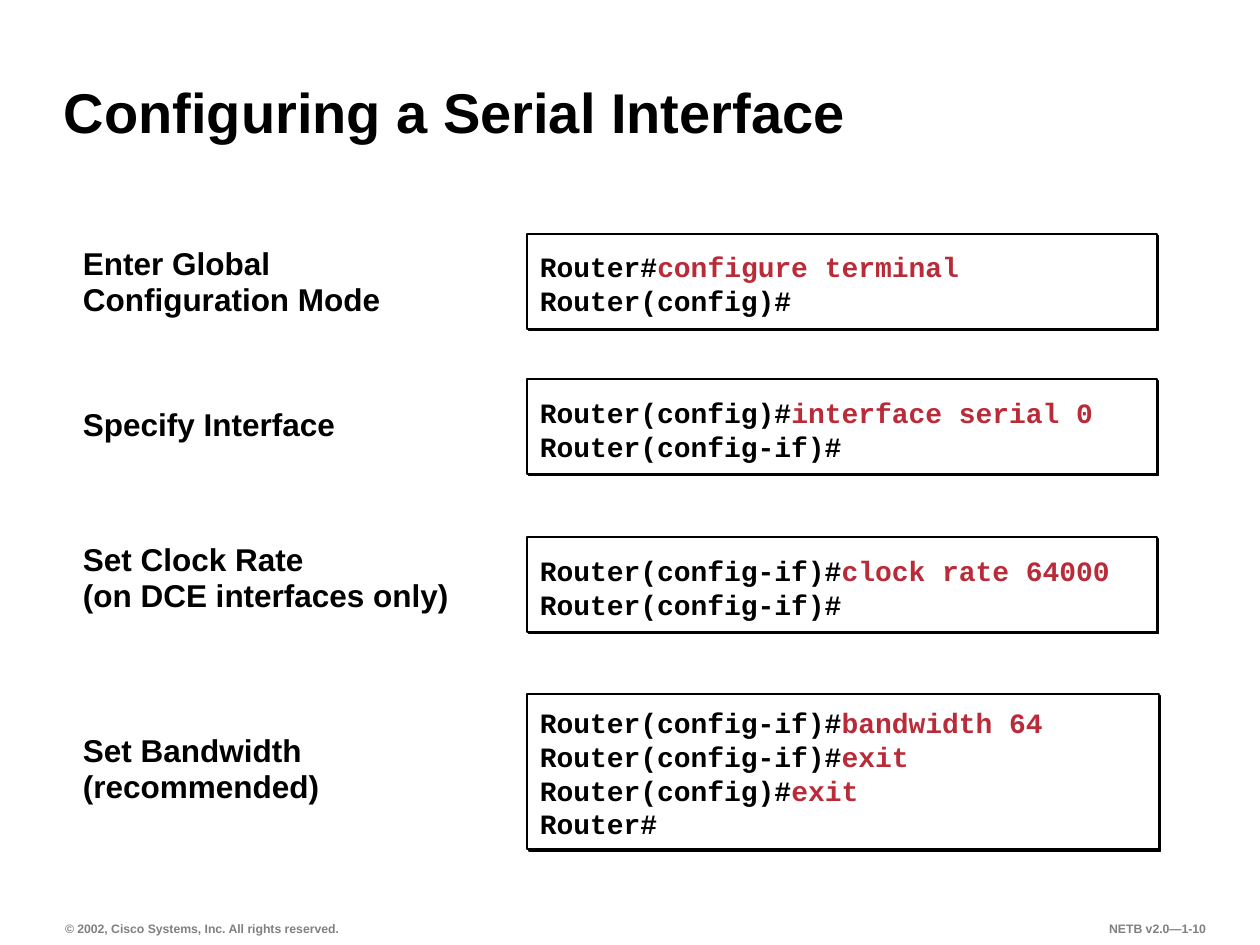
"""Build the slide on configuring a serial interface."""
from dataclasses import dataclass

from lxml.etree import SubElement
from pptx import Presentation
from pptx.dml.color import RGBColor
from pptx.enum.shapes import MSO_SHAPE
from pptx.enum.text import MSO_ANCHOR, PP_ALIGN
from pptx.oxml.ns import qn
from pptx.util import Pt


@dataclass(frozen=True)
class Theme:
    ink: RGBColor = RGBColor(0x00, 0x00, 0x00)
    paper: RGBColor = RGBColor(0xFF, 0xFF, 0xFF)
    command: RGBColor = RGBColor(0xB9, 0x2B, 0x38)
    muted: RGBColor = RGBColor(0x80, 0x80, 0x80)
    sans: str = "Arial"
    mono: str = "Courier New"
    title: Pt = Pt(32)
    label: Pt = Pt(18)
    code: Pt = Pt(16)
    footer: Pt = Pt(7)
    label_pitch: Pt = Pt(20.5)
    code_pitch: Pt = Pt(19.2)


def px(length):
    return round(length * 914400 / 126)


def apply(target, values):
    for name, value in values.items():
        setattr(target, name, value)


class SlideBuilder:
    def __init__(self, slide, theme):
        self.slide = slide
        self.theme = theme

    def text(self, box, lines, size, font=None, color=None, insets=(0, 0, 0, 0),
             frame_format=None, paragraph_format=None):
        frame = self.slide.shapes.add_textbox(*map(px, box)).text_frame
        margins = ("margin_left", "margin_top", "margin_right", "margin_bottom")
        apply(frame, dict(zip(margins, map(px, insets))))
        apply(frame, {"word_wrap": True, **(frame_format or {})})
        for index, line in enumerate(lines):
            paragraph = frame.add_paragraph() if index else frame.paragraphs[0]
            apply(paragraph, paragraph_format or {})
            for words, tint in line:
                run = paragraph.add_run()
                run.text = words
                apply(run.font, {"name": font or self.theme.sans, "size": size, "bold": True})
                run.font.color.rgb = tint or color or self.theme.ink

    def title(self, words):
        self.text((53, 35, 1051, 116), [[(words, None)]], self.theme.title,
                  insets=(11, 5, 11, 5), frame_format={"vertical_anchor": MSO_ANCHOR.BOTTOM},
                  paragraph_format={"line_spacing": 0.9})

    def label(self, top, width, height, words):
        self.text((83, top, width, height), [[(line, None)] for line in words],
                  self.theme.label, paragraph_format={"line_spacing": self.theme.label_pitch})

    def card(self, top, width, height):
        card = self.slide.shapes.add_shape(
            MSO_SHAPE.RECTANGLE, *map(px, (527, top, width, height)))
        card.fill.solid()
        card.fill.fore_color.rgb = self.theme.paper
        card.line.color.rgb = self.theme.ink
        card.line.width = Pt(1)
        card.shadow.inherit = False
        effects = card.element.spPr.find(qn("a:effectLst"))
        shadow = SubElement(effects, qn("a:outerShdw"), dist=str(Pt(1.4)), dir="2700000",
                            algn="ctr", rotWithShape="0")
        SubElement(shadow, qn("a:srgbClr"), val=str(self.theme.ink))

    def code(self, top, height, session):
        lines = [[(prompt, None)] + ([(command, self.theme.command)] if command else [])
                 for prompt, command in session]
        self.text((537, top, 587, height), lines, self.theme.code, self.theme.mono,
                  insets=(3, 7, 3, 4), frame_format={"word_wrap": False},
                  paragraph_format={"line_spacing": self.theme.code_pitch})

    def footer(self, left, width, words, alignment):
        self.text((left, 915, width, 26), [[(words, None)]], self.theme.footer,
                  color=self.theme.muted, insets=(11, 5, 11, 5),
                  frame_format={"word_wrap": False, "vertical_anchor": MSO_ANCHOR.BOTTOM},
                  paragraph_format={"alignment": alignment})


STEPS = [
    {"label": (246, 484, 107, ["Enter Global", "Configuration Mode"]),
     "card": (234, 630, 95), "code": (243, 102),
     "session": [("Router#", "configure terminal"), ("Router(config)#", "")]},
    {"label": (407, 355, 66, ["Specify Interface"]),
     "card": (379, 630, 95), "code": (389, 102),
     "session": [("Router(config)#", "interface serial 0"), ("Router(config-if)#", "")]},
    {"label": (542, 403, 82, ["Set Clock Rate", "(on DCE interfaces only)"]),
     "card": (537, 630, 95), "code": (547, 102),
     "session": [("Router(config-if)#", "clock rate 64000"), ("Router(config-if)#", "")]},
    {"label": (733, 349, 106, ["Set Bandwidth", "(recommended)"]),
     "card": (694, 632, 155), "code": (699, 122),
     "session": [("Router(config-if)#", "bandwidth 64"), ("Router(config-if)#", "exit"),
                 ("Router(config)#", "exit"), ("Router#", "")]},
]


def main():
    deck = Presentation()
    apply(deck, {"slide_width": px(1260), "slide_height": px(945)})
    builder = SlideBuilder(deck.slides.add_slide(deck.slide_layouts[6]), Theme())
    builder.footer(54, 297, "© 2002, Cisco Systems, Inc. All rights reserved.", PP_ALIGN.LEFT)
    builder.footer(1056, 161, "NETB v2.0—1-10", PP_ALIGN.RIGHT)
    for step in STEPS:
        builder.label(*step["label"])
        builder.card(*step["card"])
        builder.code(*step["code"], step["session"])
    builder.title("Configuring a Serial Interface")
    deck.save("out.pptx")


if __name__ == "__main__":
    main()
